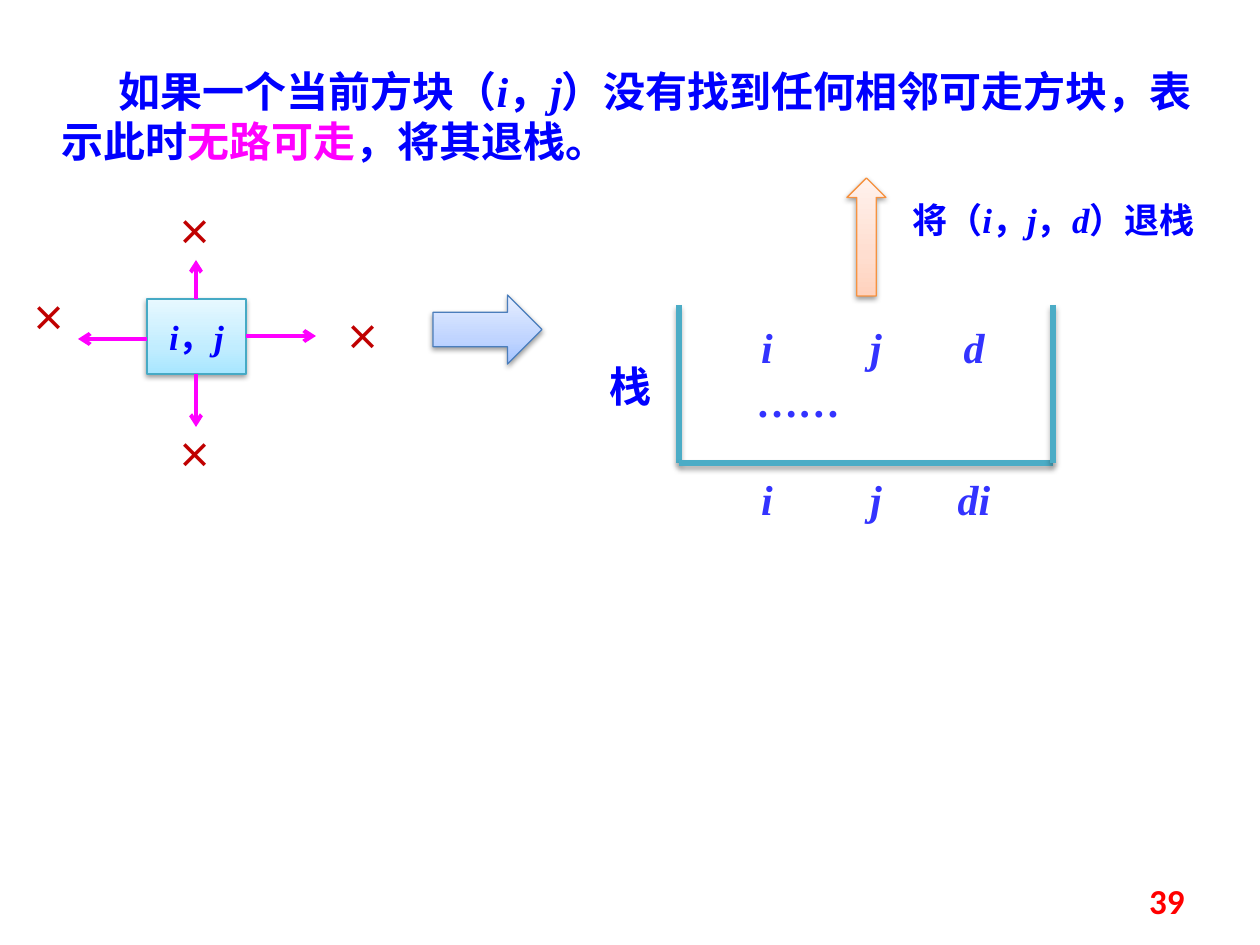
from dataclasses import dataclass
from itertools import groupby

from lxml import etree
from copy import deepcopy
from pptx import Presentation
from pptx.dml.color import RGBColor
from pptx.enum.shapes import MSO_CONNECTOR, MSO_SHAPE
from pptx.enum.text import MSO_ANCHOR, MSO_AUTO_SIZE, PP_ALIGN
from pptx.oxml.ns import qn
from pptx.util import Emu, Pt

LEFT, MID, RIGHT = PP_ALIGN.LEFT, PP_ALIGN.CENTER, PP_ALIGN.RIGHT
TOP, CENTER = MSO_ANCHOR.TOP, MSO_ANCHOR.MIDDLE
RECT, UP, NEXT = MSO_SHAPE.RECTANGLE, MSO_SHAPE.UP_ARROW, MSO_SHAPE.RIGHT_ARROW
STRAIGHT = MSO_CONNECTOR.STRAIGHT

SCALE = 914400 / 126
BLUE, VIOLET, PINK, TEAL = "0000FF", "3333FF", "FF00FF", "4BACC6"
SERIF, HAN = "Times New Roman", "Noto Sans CJK SC"


@dataclass
class Box:
    x: int
    y: int
    w: int
    h: int


@dataclass
class Style:
    size: int = 24
    color: str = BLUE
    face: str = SERIF
    align: PP_ALIGN = MID
    slant: bool = True  # Latin letters in italics


@dataclass
class Block:
    kind: MSO_SHAPE
    box: Box
    stops: tuple[str, str, str]
    edge: str


def px(n: int) -> Emu:
    return Emu(round(n * SCALE))


def rgb(code: str) -> RGBColor:
    return RGBColor.from_string(code)


def place(box: Box) -> tuple[Emu, ...]:
    return px(box.x), px(box.y), px(box.w), px(box.h)


def write(frame, style: Style, *parts: tuple[str, str]) -> None:
    """Fill the first paragraph with (text, colour) parts."""
    para = frame.paragraphs[0]
    para.alignment = style.align
    font = para.font
    font.size, font.bold, font.name = Pt(style.size), True, style.face
    font.color.rgb = rgb(style.color)
    base = para._p.pPr.find(qn("a:defRPr"))
    etree.SubElement(base, qn("a:ea"), typeface=HAN)
    for text, color in parts:
        for latin, chars in groupby(text, str.isascii):
            run = para.add_run()
            run.text = "".join(chars)
            if latin and style.slant:
                run.font.italic = True
            if color != style.color:
                run.font.color.rgb = rgb(color)


def label(slide, text: str, box: Box, style: Style, anchor=TOP) -> None:
    frame = slide.shapes.add_textbox(*place(box)).text_frame
    frame.word_wrap = True
    frame.vertical_anchor = anchor
    write(frame, style, (text, style.color))


def shade(shape, alpha: int = 0, dist: float = 0) -> None:
    """Replace the theme shadow; alpha 0 leaves none."""
    effect = etree.SubElement(shape._element.spPr, qn("a:effectLst"))
    if alpha:
        outer = etree.SubElement(
            effect, qn("a:outerShdw"), blurRad=str(Pt(3.1)),
            dist=str(Pt(dist)), dir="5400000", rotWithShape="0")
        color = etree.SubElement(outer, qn("a:srgbClr"), val="000000")
        etree.SubElement(color, qn("a:alpha"), val=str(alpha * 1000))


def draw(slide, block: Block):
    shape = slide.shapes.add_shape(block.kind, *place(block.box))
    shape.fill.gradient()
    shape.fill.gradient_angle = 90
    first = shape._element.spPr.find(".//" + qn("a:gs"))
    first.addnext(deepcopy(first))
    for stop, spot, color in zip(shape.fill.gradient_stops, (0, 0.35, 1), block.stops):
        stop.position = spot
        stop.color.rgb = rgb(color)
    shape.line.color.rgb = rgb(block.edge)
    shape.line.width = Pt(0.75)
    shade(shape, 38, 1.6)
    return shape


def link(slide, ends: tuple[int, int, int, int], color: str, width: float):
    line = slide.shapes.add_connector(STRAIGHT, *map(px, ends))
    line.line.color.rgb = rgb(color)
    line.line.width = Pt(width)
    return line


def main() -> None:
    deck = Presentation()
    deck.slide_width, deck.slide_height = px(1260), px(945)
    slide = deck.slides.add_slide(deck.slide_layouts[5])

    # Heading
    title = slide.shapes.title
    title.left, title.top, title.width, title.height = place(Box(49, 59, 1191, 115))
    frame = title.text_frame
    frame.word_wrap = True
    frame.auto_size = MSO_AUTO_SIZE.NONE
    frame.vertical_anchor = TOP
    write(frame, Style(align=LEFT),
          ("如果一个当前方块（i，j）没有找到任何相邻可走方块，表示此时", BLUE),
          ("无路可走", PINK), ("，将其退栈。", BLUE))
    frame.paragraphs[0]._p.pPr.set("indent", str(px(57)))

    # Current cell
    cell = draw(slide, Block(RECT, Box(147, 299, 99, 75),
                             ("A7E6FF", "C1EDFF", "E7F8FF"), "46AAC5"))
    cell.text_frame.word_wrap = False
    cell.text_frame.vertical_anchor = CENTER
    write(cell.text_frame, Style(20), ("i，j", BLUE))

    # Four blocked ways out
    for ends in ((246, 336, 316, 336), (196, 374, 196, 427),
                 (147, 339, 78, 339), (196, 299, 196, 260)):
        way = link(slide, ends, PINK, 2.25)
        etree.SubElement(way.line._get_or_add_ln(), qn("a:tailEnd"), type="arrow")
        shade(way)
    for x, y in ((324, 309), (156, 204), (156, 427), (10, 290)):
        label(slide, "×", Box(x, y, 79, 55), Style(20, "C00000", HAN))

    # Stack entries and field names
    for y, row in ((467, ("i", "j", "di")), (315, ("i", "j", "d"))):
        for x, text in zip((718, 827, 925), row):
            label(slide, text, Box(x, y, 98, 63), Style(color=VIOLET))
    label(slide, "……", Box(709, 369, 178, 63), Style(color=VIOLET))

    # Stack walls
    left, right, top, floor = 679, 1053, 305, 463
    for ends in ((left, top, left, floor), (left, floor, right, floor),
                 (right, top, right, floor)):
        shade(link(slide, ends, TEAL, 3), 35, 1.8)
    label(slide, "栈", Box(571, 354, 118, 63), Style(face=HAN))

    # Pop and step arrows
    label(slide, "将（i，j，d）退栈", Box(886, 192, 335, 55), Style(20))
    for block in (
        Block(UP, Box(847, 178, 39, 118), ("FFD2BD", "FFDED0", "FFF2ED"), "F69240"),
        Block(NEXT, Box(433, 295, 109, 69), ("A4C4FF", "BFD4FF", "E6EEFF"), "4B7EBC"),
    ):
        draw(slide, block)

    # Page number
    label(slide, "39", Box(903, 876, 294, 50),
          Style(20, "FF0000", "Calibri", RIGHT, False), CENTER)

    deck.save("out.pptx")


if __name__ == "__main__":
    main()
